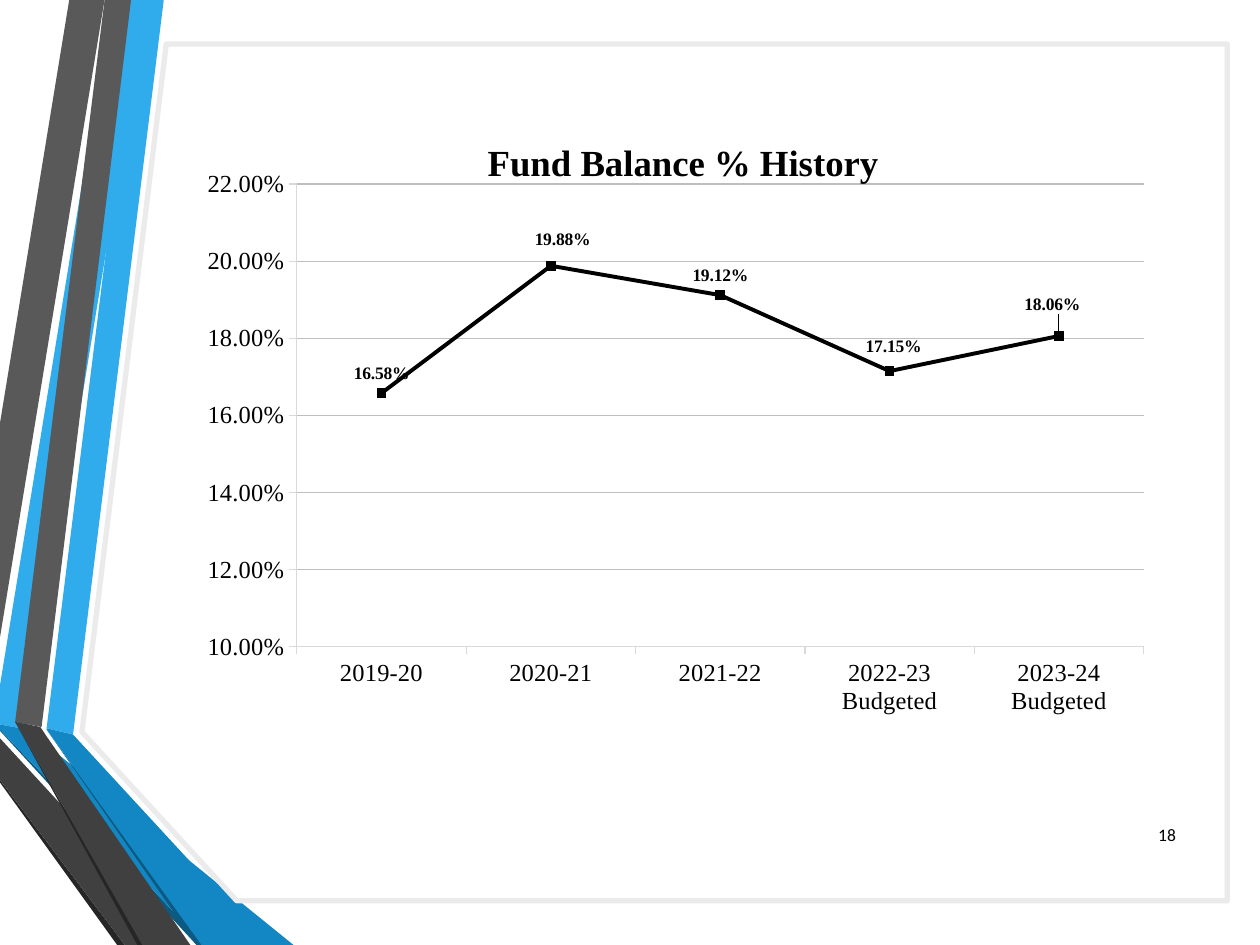
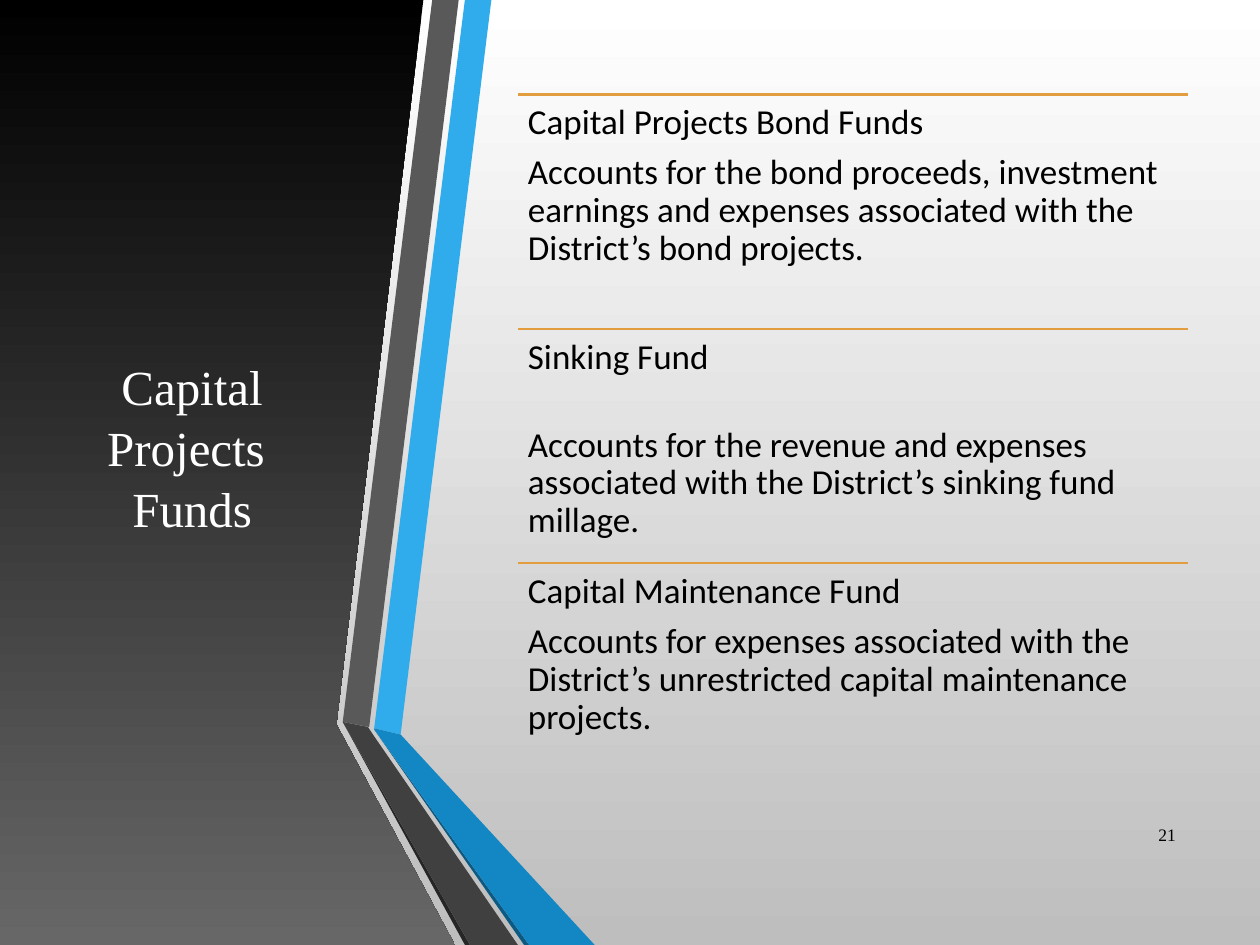
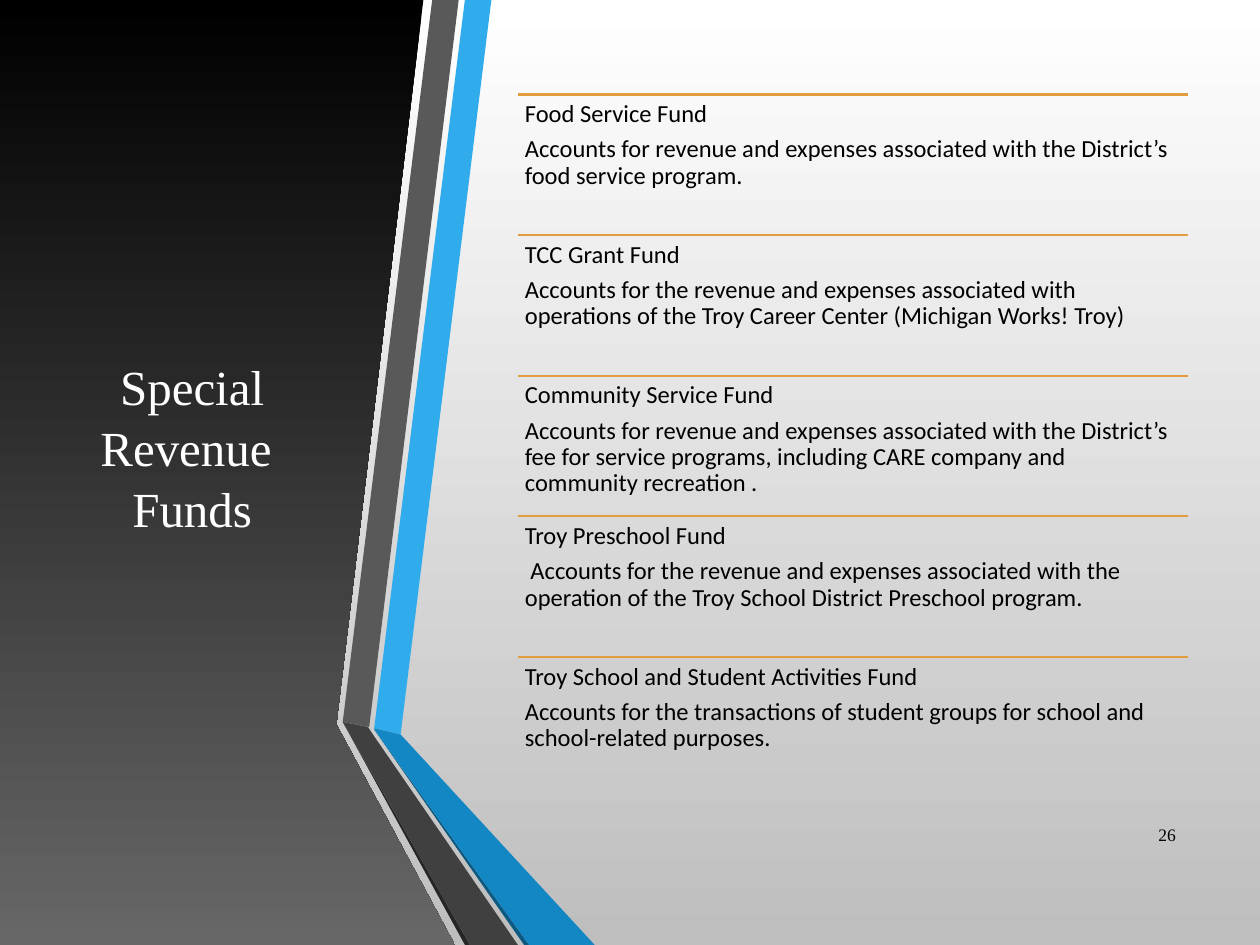
from lxml.etree import SubElement
from pptx import Presentation
from pptx.chart.data import CategoryChartData
from pptx.dml.color import RGBColor
from pptx.enum.chart import XL_CHART_TYPE, XL_LABEL_POSITION, XL_MARKER_STYLE, XL_TICK_MARK
from pptx.enum.shapes import MSO_CONNECTOR
from pptx.enum.text import MSO_ANCHOR, PP_ALIGN
from pptx.oxml import parse_xml
from pptx.oxml.ns import nsdecls, qn
from pptx.util import Emu, Inches, Pt

BLACK = RGBColor(0x00, 0x00, 0x00)
WHITE = RGBColor(0xFF, 0xFF, 0xFF)
SKY = RGBColor(0x30, 0xAC, 0xEC)
BLUE = RGBColor(0x12, 0x87, 0xC3)
NAVY = RGBColor(0x0C, 0x5A, 0x82)
STEEL = RGBColor(0x59, 0x59, 0x59)
COAL = RGBColor(0x40, 0x40, 0x40)
INK = RGBColor(0x26, 0x26, 0x26)
SMOKE = RGBColor(0x67, 0x67, 0x67)
SILVER = RGBColor(0xBE, 0xBE, 0xBE)
MIST = RGBColor(0xEB, 0xEB, 0xEB)
PALE = RGBColor(0xD9, 0xD9, 0xD9)
GOLD = RGBColor(0xE2, 0x9D, 0x3E)

SANS, SERIF = "Calibri", "Times New Roman"
COLS, ROWS = 1000, 750
WIDE, HIGH = Inches(10), Inches(7.5)
CELL = WIDE // COLS

WINGS = [
    (SKY, [(0, 544), (0, 575), (22, 579), (117, 0), (89, 0)]),
    (STEEL, [(83, 0), (55, 0), (0, 336), (0, 506)]),
    (INK, [(0, 619), (0, 621), (93, ROWS), (99, ROWS)]),
    (NAVY, [(0, 579), (0, 580), (156, ROWS), (163, ROWS)]),
    (BLUE, [(0, 579), (163, ROWS), (233, ROWS), (22, 579), (0, 575)]),
    (COAL, [(0, 619), (99, ROWS), (151, ROWS), (0, 586)]),
]
BANDS = [
    (SKY, [(37, 578), (58, 583), (130, 0), (109, 0)]),
    (STEEL, [(104, 0), (83, 0), (12, 573), (33, 577)]),
    (INK, [(12, 573), (109, ROWS), (113, ROWS)]),
    (NAVY, [(37, 579), (156, ROWS), (160, ROWS)]),
    (BLUE, [(37, 579), (160, ROWS), (212, ROWS), (58, 583), (37, 578)]),
    (COAL, [(151, ROWS), (36, 583), (32, 577), (12, 573), (113, ROWS)]),
]
FRAME = [(132, 35), (974, 35), (974, 715), (188, 715), (65, 581)]
PANEL = [(0, 0), (336, 0), (267, 575), (361, ROWS), (0, ROWS)]
SHIFT = 260
LEFT, RIGHT, TOP, DEPTH = 411, 943, 75, 558

YEARS = ["2019-20", "2020-21", "2021-22", "2022-23 Budgeted", "2023-24 Budgeted"]
RATES = [0.1658, 0.1988, 0.1912, 0.1715, 0.1806]
NUDGES = {1: (0.012, -0.01), 3: (0.004, -0.007), 4: (-0.007, -0.018)}

CAPITAL = [
    ("Capital Projects Bond Funds",
     "Accounts for the bond proceeds, investment earnings and expenses "
     "associated with the District’s bond projects.", 0),
    ("Sinking Fund",
     "Accounts for the revenue and expenses associated with the District’s "
     "sinking fund millage.", 21.7),
    ("Capital Maintenance Fund",
     "Accounts for expenses associated with the District’s unrestricted "
     "capital maintenance projects.", 0),
]
SPECIAL = [
    ("Food Service Fund",
     "Accounts for revenue and expenses associated with the District’s "
     "food service program.", 0),
    ("TCC Grant Fund",
     "Accounts for the revenue and expenses associated with operations of "
     "the Troy Career Center (Michigan Works! Troy)", 0),
    ("Community Service Fund",
     "Accounts for revenue and expenses associated with the District’s fee "
     "for service programs, including CARE company and community recreation .", 0),
    ("Troy Preschool Fund",
     " Accounts for the revenue and expenses associated with the operation "
     "of the Troy School District Preschool program.", 0),
    ("Troy School and Student Activities Fund",
     "Accounts for the transactions of student groups for school and "
     "school-related purposes.", 0),
]


def cells(*counts):
    """Turn counts of grid cells into lengths."""
    return [Emu(int(n * CELL)) for n in counts]


def fade(fill, top, base):
    """Fill with a gradient from top to base."""
    fill.gradient()
    fill.gradient_angle = 270
    for stop, tone in zip(fill.gradient_stops, (top, base)):
        stop.color.rgb = tone


def outline(slide, points, tone=None, shift=0):
    """Draw a closed outline, without a line, moved right by shift."""
    points = [(x + shift, y) for x, y in points]
    pen = slide.shapes.build_freeform(*points[0], scale=CELL)
    pen.add_line_segments(points[1:], close=True)
    shape = pen.convert_to_shape()
    shape.shadow.inherit = False
    shape.line.fill.background()
    if tone is not None:
        shape.fill.solid()
        shape.fill.fore_color.rgb = tone
    return shape


def ribbons(slide, parts, shift=0):
    """Draw a set of coloured ribbons."""
    for tone, points in parts:
        outline(slide, points, tone, shift)


def textbox(slide, box, anchor=MSO_ANCHOR.TOP, inset=None):
    """Add a wrapping text box and return its frame."""
    frame = slide.shapes.add_textbox(*cells(*box)).text_frame
    frame.word_wrap = True
    frame.vertical_anchor = anchor
    if inset is not None:
        frame.margin_left = frame.margin_right = inset
        frame.margin_top = frame.margin_bottom = inset
    return frame


def style(font, face, size, tone=BLACK, bold=False):
    """Set face, size, colour and weight of a font."""
    font.name, font.size, font.bold = face, Pt(size), bold
    font.color.rgb = tone


def write(para, text, face, size, tone=BLACK):
    """Add one styled run to a paragraph."""
    run = para.add_run()
    run.text = text
    style(run.font, face, size, tone)


def number(slide, page, face=SERIF):
    """Add the page number."""
    para = textbox(slide, (898, 642, 45, 40), MSO_ANCHOR.MIDDLE).paragraphs[0]
    para.alignment = PP_ALIGN.RIGHT
    para.space_after = Pt(6)
    write(para, page, face, 10)


def heading(slide, lines):
    """Add the title on the dark panel."""
    para = textbox(slide, (44, TOP, 217, DEPTH), MSO_ANCHOR.MIDDLE).paragraphs[0]
    para.alignment = PP_ALIGN.CENTER
    para.line_spacing = 1.04
    for i, line in enumerate(lines):
        if i:
            para.add_line_break()
        write(para, line, SERIF, 28, WHITE)


def rule(slide, y):
    """Draw a gold rule across the list."""
    line = slide.shapes.add_connector(MSO_CONNECTOR.STRAIGHT, *cells(LEFT, y, RIGHT, y))
    line.line.color.rgb = GOLD
    line.line.width = Pt(1.25)
    SubElement(line.element.spPr, qn("a:effectLst"))


def funds(slide, items, size):
    """List funds in rows of equal height."""
    step = DEPTH / len(items)
    for i, (name, note, gap) in enumerate(items):
        y = TOP + i * step
        rule(slide, y)
        frame = textbox(slide, (LEFT, y, RIGHT - LEFT, step), inset=Inches(size / 250))
        for para, text in ((frame.paragraphs[0], name), (frame.add_paragraph(), note)):
            para.line_spacing = 0.9
            para.space_after = Pt(size * 0.35)
            write(para, text, SANS, size)
        if gap:
            para.space_before = Pt(gap)


def place(node, index, edge=False, **spots):
    """Give a chart part a manual layout."""
    for old in node.findall(qn("c:layout")):
        node.remove(old)
    layout = parse_xml(f"<c:layout {nsdecls('c')}><c:manualLayout/></c:layout>")
    if "w" in spots:
        SubElement(layout[0], qn("c:layoutTarget")).set("val", "inner")
    if edge:
        for side in ("xMode", "yMode"):
            SubElement(layout[0], qn("c:" + side)).set("val", "edge")
    for key, share in spots.items():
        SubElement(layout[0], qn("c:" + key)).set("val", str(share))
    node.insert(index, layout)


def axes(chart):
    """Style both axes and the grid."""
    for axis in (chart.category_axis, chart.value_axis):
        axis.major_tick_mark = XL_TICK_MARK.OUTSIDE
        axis.minor_tick_mark = XL_TICK_MARK.NONE
        axis.format.line.color.rgb = PALE
        axis.format.line.width = Pt(0.75)
        style(axis.tick_labels.font, SERIF, 14)
    scale = chart.value_axis
    scale.minimum_scale, scale.maximum_scale, scale.major_unit = 0.1, 0.22, 0.02
    scale.tick_labels.number_format = "0.00%"
    scale.tick_labels.number_format_is_linked = False
    scale.has_major_gridlines = True
    scale.major_gridlines.format.line.color.rgb = SILVER
    scale.major_gridlines.format.line.width = Pt(0.75)


def labels(chart, series):
    """Show values above the points and nudge some."""
    tags = series.data_labels
    tags.show_value = True
    tags.number_format, tags.number_format_is_linked = "0.00%", False
    tags.position = XL_LABEL_POSITION.ABOVE
    style(tags.font, SERIF, 10, bold=True)
    for i in NUDGES:
        tag = series.points[i].data_label
        style(tag.font, SERIF, 10, bold=True)
        tag.position = XL_LABEL_POSITION.ABOVE
    for node, (x, y) in zip(chart.element.iter(qn("c:dLbl")), NUDGES.values()):
        place(node, 1, x=x, y=y)
        form = f'<c:numFmt {nsdecls("c")} formatCode="0.00%" sourceLinked="0"/>'
        node.insert(2, parse_xml(form))


def history(slide):
    """Add the line chart of fund balance."""
    data = CategoryChartData(number_format="0.00%")
    data.categories = YEARS
    data.add_series("Series 1", RATES)
    chart = slide.shapes.add_chart(
        XL_CHART_TYPE.LINE_MARKERS, *cells(151, 83, 769, 559), data).chart
    style(chart.font, SANS, 18)
    chart.has_legend = False
    chart.has_title = True
    run = chart.chart_title.text_frame.paragraphs[0].add_run()
    run.text = "Fund Balance % History"
    style(run.font, SERIF, 21, bold=True)
    axes(chart)
    chart.plots[0].vary_by_categories = False
    series = chart.plots[0].series[0]
    series.smooth = False
    series.format.line.color.rgb = BLACK
    series.format.line.width = Pt(2.25)
    series.marker.style, series.marker.size = XL_MARKER_STYLE.SQUARE, 5
    series.marker.format.fill.solid()
    series.marker.format.fill.fore_color.rgb = BLACK
    series.marker.format.line.color.rgb = BLACK
    labels(chart, series)
    place(next(chart.element.iter(qn("c:title"))), 1, True, x=0.3, y=0.04)
    place(next(chart.element.iter(qn("c:plotArea"))), 0, True,
          x=0.11, y=0.113, w=0.874, h=0.657)


def balance(slide):
    """Build the slide with the framed chart."""
    ribbons(slide, WINGS)
    ribbons(slide, BANDS)
    frame = outline(slide, FRAME, WHITE)
    frame.line.color.rgb = MIST
    frame.line.width = Pt(3)
    number(slide, "18", SANS)
    history(slide)


def group(slide, lines, items, size, page):
    """Build a slide that lists a group of funds."""
    fade(slide.background.fill, WHITE, SILVER)
    fade(outline(slide, PANEL).fill, BLACK, SMOKE)
    heading(slide, lines)
    ribbons(slide, BANDS, SHIFT)
    number(slide, page)
    funds(slide, items, size)


def main():
    """Build and save the slides."""
    deck = Presentation()
    deck.slide_width, deck.slide_height = WIDE, HIGH
    first, second, third = [deck.slides.add_slide(deck.slide_layouts[6]) for _ in range(3)]
    balance(first)
    group(second, ("Capital Projects ", "Funds"), CAPITAL, 20, "21")
    group(third, ("Special Revenue ", "Funds"), SPECIAL, 14, "26")
    deck.save("out.pptx")


if __name__ == "__main__":
    main()
